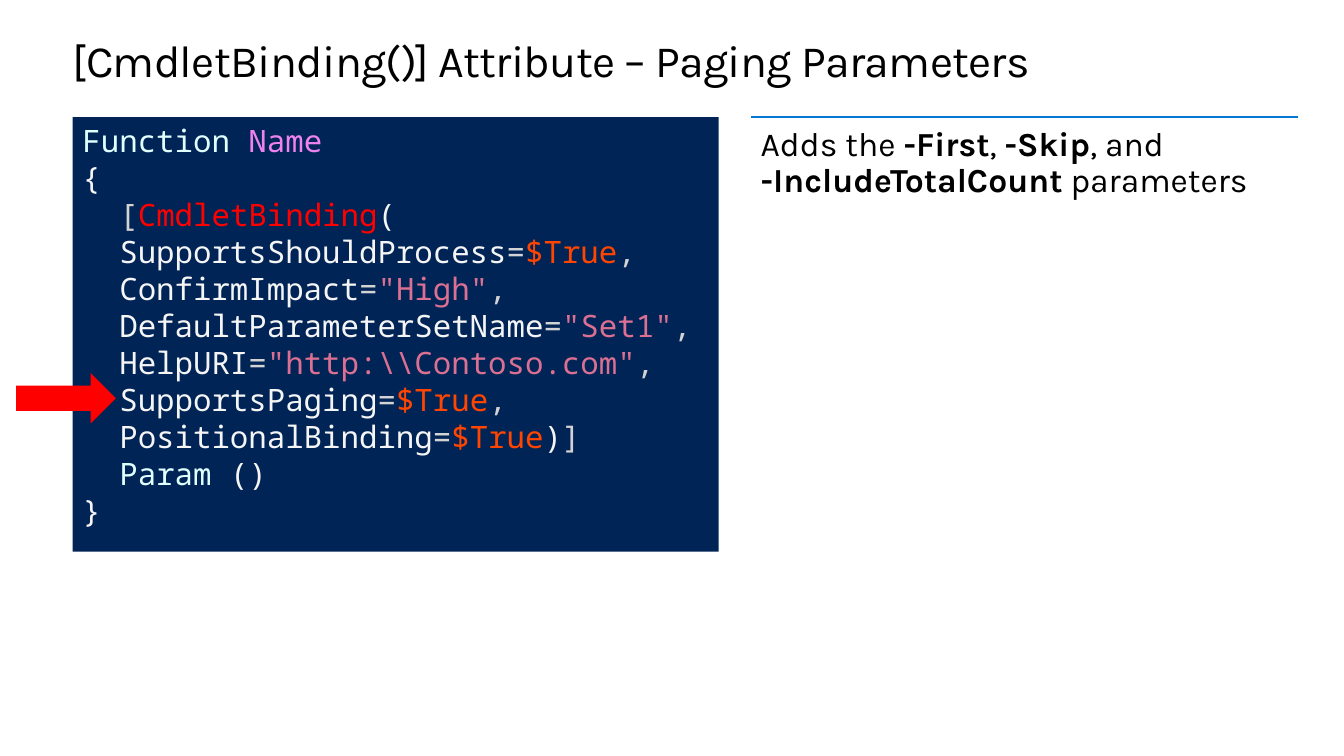
"""Build the slide on the paging parameters of the CmdletBinding attribute."""
from typing import NamedTuple

from lxml.etree import SubElement
from pptx import Presentation
from pptx.dml.color import RGBColor
from pptx.enum.shapes import MSO_CONNECTOR, MSO_SHAPE
from pptx.enum.text import MSO_ANCHOR as Anchor, MSO_AUTO_SIZE as AutoSize, PP_ALIGN as Align
from pptx.oxml.ns import qn
from pptx.util import Cm, Pt

KEYWORD, FUNCTION, PLAIN, OPERATOR = "E0FFFF", "EE82EE", "F5F5F5", "D3D3D3"
ATTRIBUTE, VARIABLE, STRING = "FF0000", "FF4500", "DB7093"


class Box(NamedTuple):
    left: float
    top: float
    width: float
    height: float


class Token(NamedTuple):
    text: str
    color: str


class Setting(NamedTuple):
    name: str
    value: str
    color: str
    closing: tuple[Token, ...] = (Token(",", OPERATOR),)


SETTINGS = [
    Setting("SupportsShouldProcess", "$True", VARIABLE),
    Setting("ConfirmImpact", '"High"', STRING),
    Setting("DefaultParameterSetName", '"Set1"', STRING),
    Setting("HelpURI", '"http:\\\\Contoso.com"', STRING),
    Setting("SupportsPaging", "$True", VARIABLE),
    Setting("PositionalBinding", "$True", VARIABLE, (Token(")", PLAIN), Token("]", OPERATOR))),
]


def setting_line(setting: Setting) -> list[Token]:
    return [Token("  " + setting.name, PLAIN), Token("=", OPERATOR),
            Token(setting.value, setting.color), *setting.closing]


CODE = [
    [Token("Function ", KEYWORD), Token("Name", FUNCTION)],
    [Token("{", PLAIN)],
    [Token("  ", PLAIN), Token("[", OPERATOR), Token("CmdletBinding", ATTRIBUTE), Token("(", PLAIN)],
    *map(setting_line, SETTINGS),
    [Token("  ", PLAIN), Token("Param", KEYWORD), Token(" ()", PLAIN)],
    [Token("}", PLAIN)],
]
SUMMARY = [
    [("Adds the ", False), ("-First", True), (", ", False), ("-Skip", True), (", and", False)],
    [("-IncludeTotalCount", True), (" parameters", False)],
]


def rgb(color: str) -> RGBColor:
    return RGBColor.from_string(color)


def place(shape, box: Box) -> None:
    shape.left, shape.top, shape.width, shape.height = map(Cm, box)


def add_block(slide, preset, box: Box, color: str):
    block = slide.shapes.add_shape(preset, *map(Cm, box))
    block.shadow.inherit = False
    block.fill.solid()
    block.fill.fore_color.rgb = rgb(color)
    block.line.fill.background()
    return block


def set_frame(frame, inset: float, anchor=Anchor.TOP) -> None:
    frame.word_wrap = True
    frame.auto_size = AutoSize.NONE
    frame.vertical_anchor = anchor
    frame.margin_left = frame.margin_right = Cm(inset)
    frame.margin_top = frame.margin_bottom = Cm(inset)


def set_font(paragraph, name: str, size: float, color: str) -> None:
    paragraph.alignment = Align.LEFT
    paragraph.space_before = Pt(0)
    paragraph.font.name = name
    paragraph.font.size = Pt(size)
    paragraph.font.color.rgb = rgb(color)


def add_title(slide) -> None:
    title = slide.shapes.title
    place(title, Box(1.83, 0.89, 30.23, 1.27))
    set_frame(title.text_frame, 0)
    heading = title.text_frame.paragraphs[0]
    run = heading.add_run()
    run.text = "[CmdletBinding()] Attribute – Paging Parameters"
    run.font._element.set("spc", "-50")
    heading.line_spacing = Pt(36.2)
    set_font(heading, "Karla", 32, "000000")


def add_code(slide) -> None:
    code = add_block(slide, MSO_SHAPE.RECTANGLE, Box(1.83, 2.95, 16.28, 10.95), "012456")
    frame = code.text_frame
    set_frame(frame, 0.25)
    frame.margin_top = frame.margin_bottom = Cm(0.13)
    for number, tokens in enumerate(CODE):
        line = frame.add_paragraph() if number else frame.paragraphs[0]
        set_font(line, "Noto Sans Mono", 22, PLAIN)
        for token in tokens:
            run = line.add_run()
            run.text = token.text
            run.font.color.rgb = rgb(token.color)


def add_summary(slide) -> None:
    rule = slide.shapes.add_connector(MSO_CONNECTOR.STRAIGHT, Cm(18.92), Cm(2.95), Cm(32.72), Cm(2.95))
    rule.line.color.rgb = rgb("0078D4")
    rule.line.width = Pt(1)
    SubElement(rule._element.spPr, qn("a:effectLst"))
    summary = slide.placeholders[1]
    place(summary, Box(18.92, 2.95, 13.79, 6.3))
    set_frame(summary.text_frame, 0.25)
    paragraph = summary.text_frame.paragraphs[0]
    properties = paragraph._p.get_or_add_pPr()
    properties.set("marL", "0")
    properties.set("indent", "0")
    SubElement(properties, qn("a:buNone"))
    paragraph.line_spacing = 0.9
    set_font(paragraph, "Karla", 24, "000000")
    for number, parts in enumerate(SUMMARY):
        if number:
            paragraph.add_line_break()
        for text, bold in parts:
            run = paragraph.add_run()
            run.text = text
            run.font.bold = bold


def main() -> None:
    deck = Presentation()
    deck.slide_width, deck.slide_height = Cm(33.87), Cm(19.05)
    slide = deck.slides.add_slide(deck.slide_layouts[1])
    add_code(slide)
    add_title(slide)
    add_summary(slide)
    add_block(slide, MSO_SHAPE.RIGHT_ARROW, Box(0.41, 9.4, 2.51, 1.27), "FF0000")
    deck.save("out.pptx")


if __name__ == "__main__":
    main()
